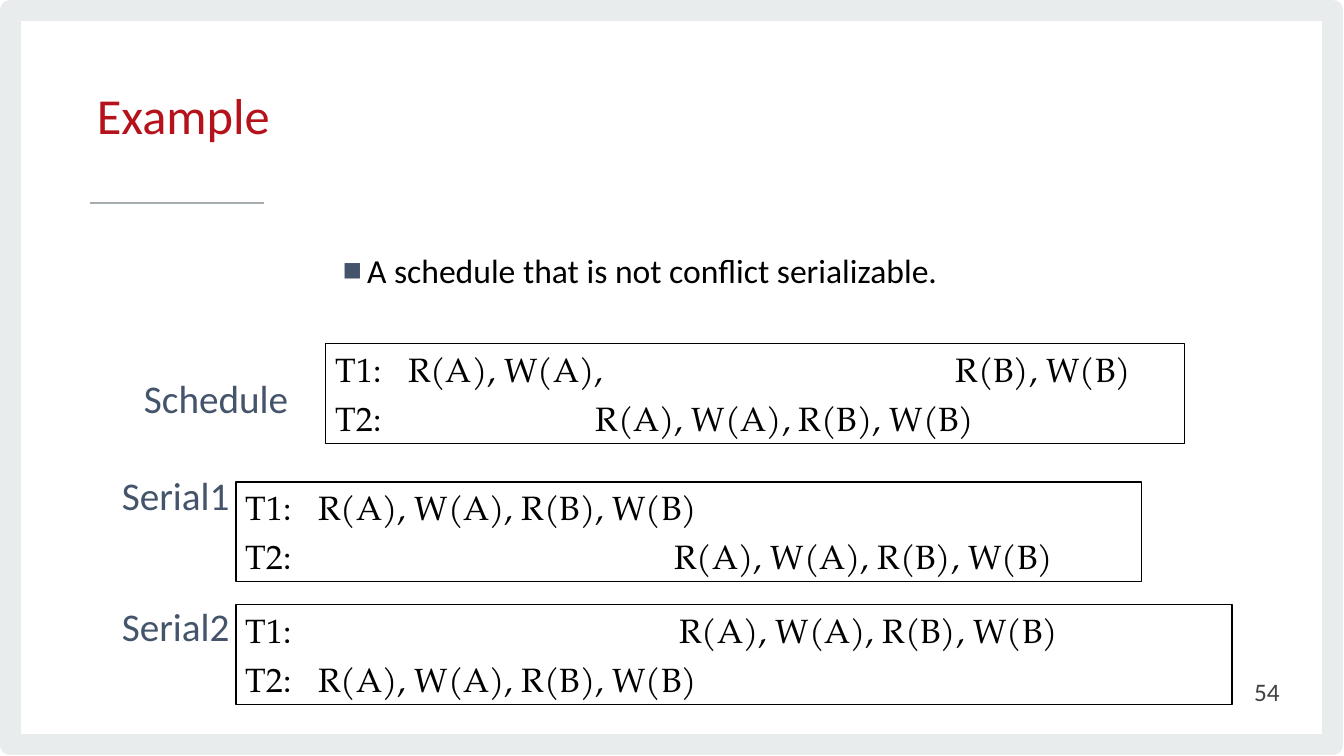
import pptx
import pptx.dml.color
import pptx.enum.shapes
import pptx.enum.text
import pptx.oxml
import pptx.oxml.ns
import pptx.util

Inches, Pt = pptx.util.Inches, pptx.util.Pt
RGB = pptx.dml.color.RGBColor.from_string
ALIGN = pptx.enum.text.PP_ALIGN
ANCHOR = pptx.enum.text.MSO_ANCHOR

TITLE = "Example"
STATEMENT = "A schedule that is not conflict serializable."
PAGE = "54"
ALL_OPS = "R(A), W(A), R(B), W(B)"

# Each transaction: name, then (tab position in inches, operations)
SCHEDULES = [
    {"label": "Schedule", "label_at": (1.33, 3.66, 2.03, 0.57), "box_at": (3.23, 3.41, 8.52, 0.99),
     "rows": [("T1:", [(0.72, "R(A), W(A),"), (6.15, "R(B), W(B)")]),
              ("T2:", [(2.58, ALL_OPS)])]},
    {"label": "Serial1", "label_at": (1.11, 4.63, 1.58, 0.57), "box_at": (2.34, 4.78, 8.98, 0.99),
     "rows": [("T1:", [(0.72, ALL_OPS)]), ("T2:", [(4.25, ALL_OPS)])]},
    {"label": "Serial2", "label_at": (1.11, 5.93, 1.58, 0.57), "box_at": (2.34, 6, 9.88, 0.99),
     "rows": [("T1:", [(4.3, ALL_OPS)]), ("T2:", [(0.72, ALL_OPS)])]},
]

THEME = {
    "frame": "E9ECED", "rule": "A6ADB1", "bullet": "44546A", "box": "000000",
    "title": {"name": "Calibri", "size": 36, "color": "B5121B"},
    "body": {"name": "Calibri", "size": 24, "color": "000000"},
    "label": {"name": "Calibri", "size": 28, "color": "44546A"},
    "schedule": {"name": "TeX Gyre Pagella", "size": 24, "color": "000000"},
    "page": {"name": "Calibri", "size": 18, "color": "414042"},
}


def place(sp, at):
    for side, length in zip(("left", "top", "width", "height"), at):
        setattr(sp, side, Inches(length))


def write(p, text, style, **paragraph_format):
    r = p.add_run()
    r.text = text
    font = THEME[style]
    r.font.name, r.font.size = font["name"], Pt(font["size"])
    r.font.color.rgb = RGB(font["color"])
    for name, value in paragraph_format.items():
        setattr(p, name, value)


def frame_text(sp, anchor=ANCHOR.TOP):
    tf = sp.text_frame
    settings = {"word_wrap": True, "auto_size": pptx.enum.text.MSO_AUTO_SIZE.NONE,
                "vertical_anchor": anchor,
                "margin_left": Inches(0.1), "margin_right": Inches(0.1),
                "margin_top": Inches(0.05), "margin_bottom": Inches(0.05)}
    for name, value in settings.items():
        setattr(tf, name, value)
    return tf


def add_text(s, text, style, at, anchor=ANCHOR.TOP, align=ALIGN.LEFT):
    sp = s.shapes.add_textbox(*map(Inches, at))
    write(frame_text(sp, anchor).paragraphs[0], text, style, alignment=align)


def add_outline(s, at, color, width):
    sp = s.shapes.add_shape(pptx.enum.shapes.MSO_SHAPE.RECTANGLE, *map(Inches, at))
    sp.shadow.inherit = False
    sp.fill.background()
    sp.line.color.rgb = RGB(color)
    sp.line.width = Pt(width)
    return sp


def add_child(parent, tag, **attributes):
    child = pptx.oxml.parse_xml(f"<a:{tag} {pptx.oxml.ns.nsdecls('a')}/>")
    for name, value in attributes.items():
        child.set(name, str(value))
    parent.append(child)
    return child


def add_schedule(s, schedule):
    sp = add_outline(s, schedule["box_at"], THEME["box"], 1)
    tf = frame_text(sp, ANCHOR.MIDDLE)
    for i, (name, steps) in enumerate(schedule["rows"]):
        p = tf.add_paragraph() if i else tf.paragraphs[0]
        tabs = add_child(p._p.get_or_add_pPr(), "tabLst")
        for stop, _ in steps:
            add_child(tabs, "tab", pos=Inches(stop), algn="l")
        text = "\t".join([name] + [ops for _, ops in steps])
        write(p, text, "schedule", alignment=ALIGN.LEFT, space_after=Pt(6))
    add_text(s, schedule["label"], "label", schedule["label_at"])


def add_statement(s):
    body = s.placeholders[1]
    place(body, (3.3, 2.47, 6.74, 0.48))
    p = frame_text(body).paragraphs[0]
    pPr = p._p.get_or_add_pPr()
    pPr.set("marL", str(Inches(0.24)))
    pPr.set("indent", str(-Inches(0.24)))
    add_child(add_child(pPr, "buClr"), "srgbClr", val=THEME["bullet"])
    add_child(pPr, "buSzPct", val=60000)
    add_child(pPr, "buFont", typeface="Calibri")
    add_child(pPr, "buChar", char="■")
    write(p, STATEMENT, "body", line_spacing=0.9, space_before=Pt(0))


def main():
    prs = pptx.Presentation()
    prs.slide_width, prs.slide_height = Inches(13.33), Inches(7.5)
    s = prs.slides.add_slide(prs.slide_layouts[1])

    add_outline(s, (0.1, 0.1, 13.12, 7.29), THEME["frame"], 15.11)
    rule = s.shapes.add_connector(pptx.enum.shapes.MSO_CONNECTOR.STRAIGHT,
                                  *map(Inches, (0.89, 2.01, 2.62, 2.01)))
    rule.line.color.rgb = RGB(THEME["rule"])
    rule.line.width = Pt(1.33)
    add_child(rule._element.spPr, "effectLst")

    title = s.shapes.title
    place(title, (0.86, 0.52, 9.02, 1.34))
    write(frame_text(title, ANCHOR.MIDDLE).paragraphs[0], TITLE, "title",
          alignment=ALIGN.LEFT, line_spacing=Pt(34.7))
    add_statement(s)
    for schedule in SCHEDULES:
        add_schedule(s, schedule)
    add_text(s, PAGE, "page", (9.79, 6.66, 3, 0.4), ANCHOR.MIDDLE, ALIGN.RIGHT)

    prs.save("out.pptx")


if __name__ == "__main__":
    main()
